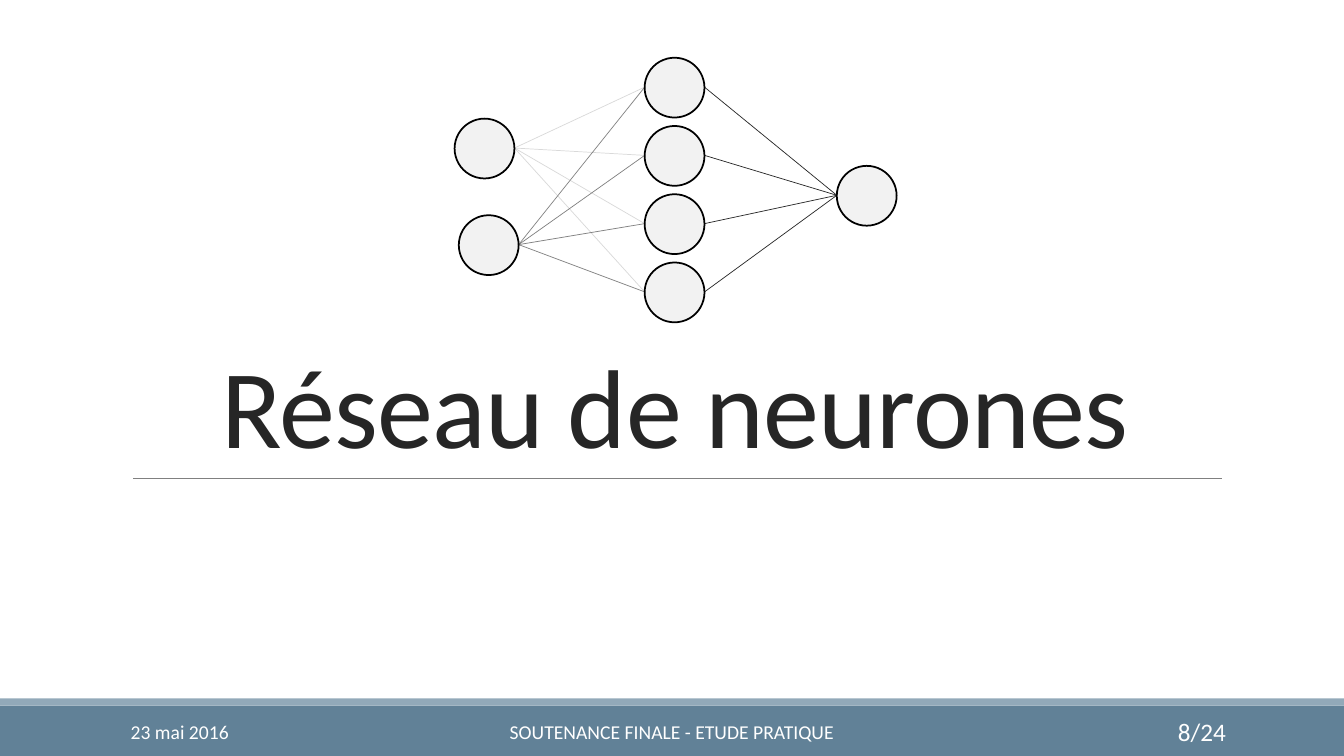
import pptx
import pptx.dml.color
import pptx.enum.shapes
import pptx.enum.text
import pptx.oxml
import pptx.oxml.ns
import pptx.util

EMU_PER_PX = 9525
SLIDE_WIDTH, SLIDE_HEIGHT = 1280, 720
FONT = "Calibri"
NEURON = 57
ALIGN = pptx.enum.text.PP_ALIGN
ANCHOR = pptx.enum.text.MSO_ANCHOR
SHAPES = pptx.enum.shapes.MSO_SHAPE


def px(length):
    """Turn pixels into EMU."""
    return pptx.util.Emu(length * EMU_PER_PX)


def color(hex_string):
    """Turn a hex string into a colour."""
    return pptx.dml.color.RGBColor.from_string(hex_string)


def add_shape(slide, kind, box, fill, line=None, line_width=1.25):
    """Add a flat preset shape in the given box."""
    shape = slide.shapes.add_shape(kind, *map(px, box))
    shape.shadow.inherit = False
    shape.fill.solid()
    shape.fill.fore_color.rgb = color(fill)
    if line:
        shape.line.color.rgb = color(line)
        shape.line.width = pptx.util.Pt(line_width)
    else:
        shape.line.fill.background()
    return shape


def add_line(slide, start, end, line):
    """Add a thin straight line between two points."""
    connector = slide.shapes.add_connector(
        pptx.enum.shapes.MSO_CONNECTOR.STRAIGHT, *map(px, (*start, *end)))
    connector.line.color.rgb = color(line)
    connector.line.width = pptx.util.Pt(0.5)
    properties = connector._element.spPr
    properties.append(pptx.oxml.parse_xml(
        f'<a:effectLst {pptx.oxml.ns.nsdecls("a")}/>'))
    return connector


def set_text(shape, text, size, fill, align, anchor):
    """Write one formatted paragraph and return it."""
    frame = shape.text_frame
    frame.text = text
    frame.word_wrap = True
    frame.auto_size = pptx.enum.text.MSO_AUTO_SIZE.NONE
    frame.vertical_anchor = anchor
    paragraph = frame.paragraphs[0]
    paragraph.alignment = align
    font = paragraph.runs[0].font
    font.name = FONT
    font.size = pptx.util.Pt(size)
    font.color.rgb = color(fill)
    return paragraph


def add_footer(slide, left, top, width, height):
    """Draw the footer band with date, subject and page number."""
    strip = 7
    add_shape(slide, SHAPES.RECTANGLE,
              (left, top + strip, width, height - strip), "618197")
    add_shape(slide, SHAPES.RECTANGLE, (left, top, width, strip), "92A9B9")
    for text, offset, text_width, size, align in (
            ("23 mai 2016", 115, 259, 14, ALIGN.LEFT),
            ("SOUTENANCE FINALE - ETUDE PRATIQUE", 387, 506, 14, ALIGN.CENTER),
            ("8/24", 1040, 137, 18, ALIGN.RIGHT)):
        textbox = slide.shapes.add_textbox(
            px(left + offset), px(top + 13), px(text_width), px(38))
        set_text(textbox, text, size, "FFFFFF", align, ANCHOR.MIDDLE)


def add_title(slide, left, top, width, height):
    """Place the title at the bottom of its box, above a rule."""
    title = slide.shapes.title
    title.left, title.top, title.width, title.height = map(
        px, (left, top, width, height))
    paragraph = set_text(title, "Réseau de neurones", 80, "262626",
                         ALIGN.CENTER, ANCHOR.BOTTOM)
    paragraph.line_spacing = 0.85
    paragraph.runs[0].font._element.set("spc", "-50")
    rule_top = top + height + 2
    add_line(slide, (left + 12, rule_top), (left + width - 7, rule_top), "808080")


def add_network(slide, left, top, width, height):
    """Draw a network of two inputs, four hidden neurons and one output."""
    hidden_left = left + 181
    pitch = (height - NEURON) // 3
    inputs = [(left, top + 58), (left + 4, top + 150)]
    hidden = [(hidden_left, top + pitch * row) for row in range(4)]
    output = (left + width - NEURON, top + 103)
    links = [(source, target, line)
             for source, line in zip(inputs, ("D9D9D9", "808080"))
             for target in hidden]
    links += [(source, output, "262626") for source in hidden]
    middle = NEURON // 2
    for (start_x, start_y), (end_x, end_y), line in links:
        add_line(slide, (start_x + NEURON, start_y + middle),
                 (end_x, end_y + middle), line)
    for x, y in (*inputs, *hidden, output):
        add_shape(slide, SHAPES.OVAL, (x, y, NEURON, NEURON), "F2F2F2", "000000")


def main():
    """Build and save the section slide."""
    presentation = pptx.Presentation()
    presentation.slide_width = px(SLIDE_WIDTH)
    presentation.slide_height = px(SLIDE_HEIGHT)
    slide = presentation.slides.add_slide(presentation.slide_layouts[0])
    subtitle = slide.placeholders[1]._element
    subtitle.getparent().remove(subtitle)
    add_footer(slide, 0, 665, SLIDE_WIDTH, 55)
    add_title(slide, 115, 80, 1056, 374)
    add_network(slide, 433, 55, 421, 252)
    presentation.save("out.pptx")


if __name__ == "__main__":
    main()
